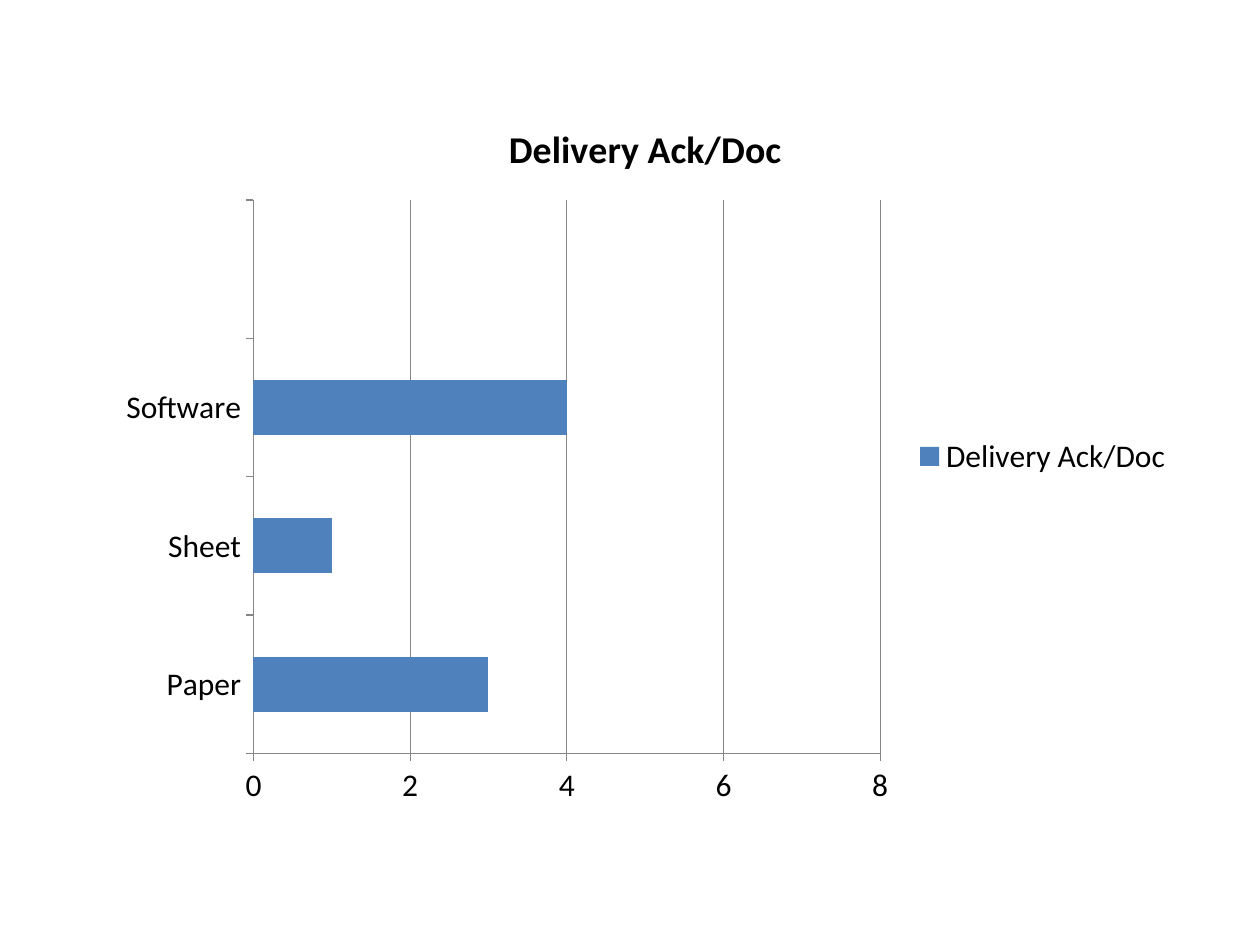
"""Build a slide with a bar chart of delivery acknowledgement documents."""
import pptx
import pptx.chart.data
import pptx.dml.color
import pptx.enum.chart
import pptx.util
from pptx.util import Cm, Pt

BLACK = pptx.dml.color.RGBColor(0x00, 0x00, 0x00)
BLUE = pptx.dml.color.RGBColor(0x4F, 0x81, 0xBD)
GRAY = pptx.dml.color.RGBColor(0x86, 0x86, 0x86)
CHART_NAME = "Delivery Ack/Doc"

presentation = pptx.Presentation()
presentation.slide_width = Cm(25.4)
presentation.slide_height = Cm(19.05)
slide = presentation.slides.add_slide(presentation.slide_layouts[6])

chart_data = pptx.chart.data.CategoryChartData()
chart_data.categories = ["Paper", "Sheet", "Software", ""]
chart_data.add_series(CHART_NAME, [3, 1, 4, None])
chart = slide.shapes.add_chart(
    pptx.enum.chart.XL_CHART_TYPE.BAR_CLUSTERED,
    Cm(2.11), Cm(1.9), Cm(21.8), Cm(14.6), chart_data,
).chart
chart.font.name = "Calibri"
chart.font.size = Pt(18)
chart.font.color.rgb = BLACK

chart.has_title = True
title_run = chart.chart_title.text_frame.paragraphs[0].add_run()
title_run.text = CHART_NAME
title_run.font.name = "Calibri"
title_run.font.size = Pt(21.6)
title_run.font.bold = True
title_run.font.color.rgb = BLACK
chart.chart_title.include_in_layout = False

chart.has_legend = True
chart.legend.position = pptx.enum.chart.XL_LEGEND_POSITION.RIGHT
chart.legend.include_in_layout = False

plot = chart.plots[0]
plot.gap_width = 150
plot.vary_by_categories = False
bars = plot.series[0]
bars.format.fill.solid()
bars.format.fill.fore_color.rgb = BLUE
bars.invert_if_negative = False

value_axis = chart.value_axis
value_axis.minimum_scale = 0
value_axis.maximum_scale = 8
value_axis.major_unit = 2
value_axis.has_major_gridlines = True
chart.category_axis.has_major_gridlines = False
for axis in (chart.category_axis, value_axis):
    axis.major_tick_mark = pptx.enum.chart.XL_TICK_MARK.OUTSIDE
    axis.minor_tick_mark = pptx.enum.chart.XL_TICK_MARK.NONE
for line in (chart.category_axis.format.line, value_axis.format.line,
             value_axis.major_gridlines.format.line):
    line.color.rgb = GRAY
    line.width = Pt(0.75)

presentation.save("out.pptx")
